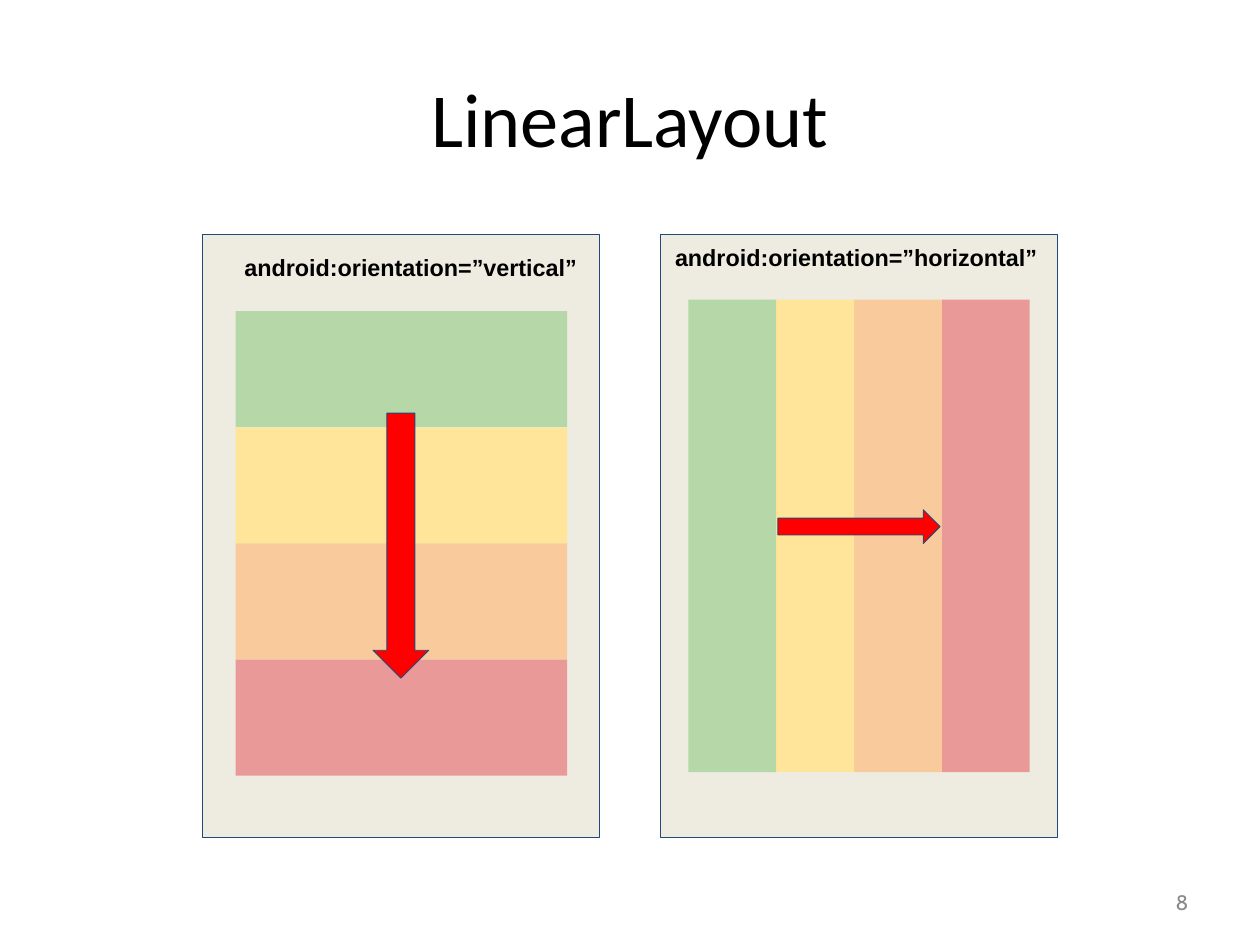
from pptx import Presentation
from pptx.dml.color import RGBColor
from pptx.enum import shapes, text
from pptx.util import Inches, Pt

BLACK = RGBColor(0x00, 0x00, 0x00)
GREY = RGBColor(0x89, 0x89, 0x89)
CREAM = RGBColor(0xEE, 0xEC, 0xE1)
NAVY = RGBColor(0x1F, 0x49, 0x7D)
RED = RGBColor(0xFF, 0x00, 0x00)
GREEN = RGBColor(0xB6, 0xD7, 0xA8)
YELLOW = RGBColor(0xFF, 0xE5, 0x99)
ORANGE = RGBColor(0xF9, 0xCB, 0x9C)
PINK = RGBColor(0xEA, 0x99, 0x99)
BANDS = [GREEN, YELLOW, ORANGE, PINK]

RECT = shapes.MSO_SHAPE.RECTANGLE
DOWN = shapes.MSO_SHAPE.DOWN_ARROW
RIGHT = shapes.MSO_SHAPE.RIGHT_ARROW
MIDDLE = text.MSO_ANCHOR.MIDDLE
ALIGN = text.PP_ALIGN


class Slide:
    """Holds the slide and the shared style of its elements."""

    def __init__(self, prs):
        self.s = prs.slides.add_slide(prs.slide_layouts[5])
        self.line_width = Pt(0.75)

    def set_text(self, sp, words, font, size, color=BLACK, bold=False,
                 align=ALIGN.LEFT, anchor=text.MSO_ANCHOR.TOP, inset=0.05):
        tf = sp.text_frame
        tf.word_wrap = True
        tf.auto_size = text.MSO_AUTO_SIZE.NONE
        tf.vertical_anchor = anchor
        tf.margin_left = tf.margin_right = Inches(0.1)
        tf.margin_top = tf.margin_bottom = Inches(inset)
        p = tf.paragraphs[0]
        p.text = words
        p.alignment = align
        p.font.name, p.font.size, p.font.bold = font, Pt(size), bold
        p.font.color.rgb = color

    def title(self, words, left, top, width, height):
        sp = self.s.shapes.title
        sp.left, sp.top = Inches(left), Inches(top)
        sp.width, sp.height = Inches(width), Inches(height)
        self.set_text(sp, words, "Calibri", 62, align=ALIGN.CENTER, anchor=MIDDLE)

    def label(self, words, left, top, width, height, **style):
        sp = self.s.shapes.add_textbox(
            Inches(left), Inches(top), Inches(width), Inches(height))
        self.set_text(sp, words, **style)

    def shape(self, kind, left, top, width, height, fill, outline=None):
        sp = self.s.shapes.add_shape(
            kind, Inches(left), Inches(top), Inches(width), Inches(height))
        sp.shadow.inherit = False
        sp.fill.solid()
        sp.fill.fore_color.rgb = fill
        if outline is None:
            sp.line.fill.background()
        else:
            sp.line.color.rgb = outline
            sp.line.width = self.line_width


def main():
    prs = Presentation()
    prs.slide_width, prs.slide_height = Inches(14.22), Inches(10.66)
    slide = Slide(prs)
    caption = dict(font="Arial", size=19, bold=True, inset=0.1)

    # Title and slide number
    slide.title("LinearLayout", 0.71, 0.43, 12.8, 1.78)
    slide.label("8", 10.19, 9.89, 3.32, 0.57, font="Cabin", size=17,
                color=GREY, align=ALIGN.RIGHT, anchor=MIDDLE)

    # Panels
    for left in (2.28, 7.45):
        slide.shape(RECT, left, 2.64, 4.49, 6.81, CREAM, NAVY)

    # Vertical layout: rows stacked downwards
    slide.label("android:orientation=”vertical”", 2.66, 2.75, 4.12, 0.52, **caption)
    row_height = 1.31
    for i, color in enumerate(BANDS):
        slide.shape(RECT, 2.66, 3.51 + i * row_height, 3.74, row_height, color)
    slide.shape(DOWN, 4.21, 4.66, 0.63, 2.99, RED, NAVY)

    # Horizontal layout: columns, the first one overlapping the second
    slide.label("android:orientation=”horizontal”", 7.52, 2.64, 4.34, 0.52, **caption)
    column_lefts = [7.77, 8.65, 9.64, 10.63]
    for left, color in reversed(list(zip(column_lefts, BANDS))):
        slide.shape(RECT, left, 3.38, 0.99, 5.33, color)
    slide.shape(RIGHT, 8.78, 5.75, 1.83, 0.38, RED, NAVY)

    prs.save("out.pptx")


if __name__ == "__main__":
    main()
